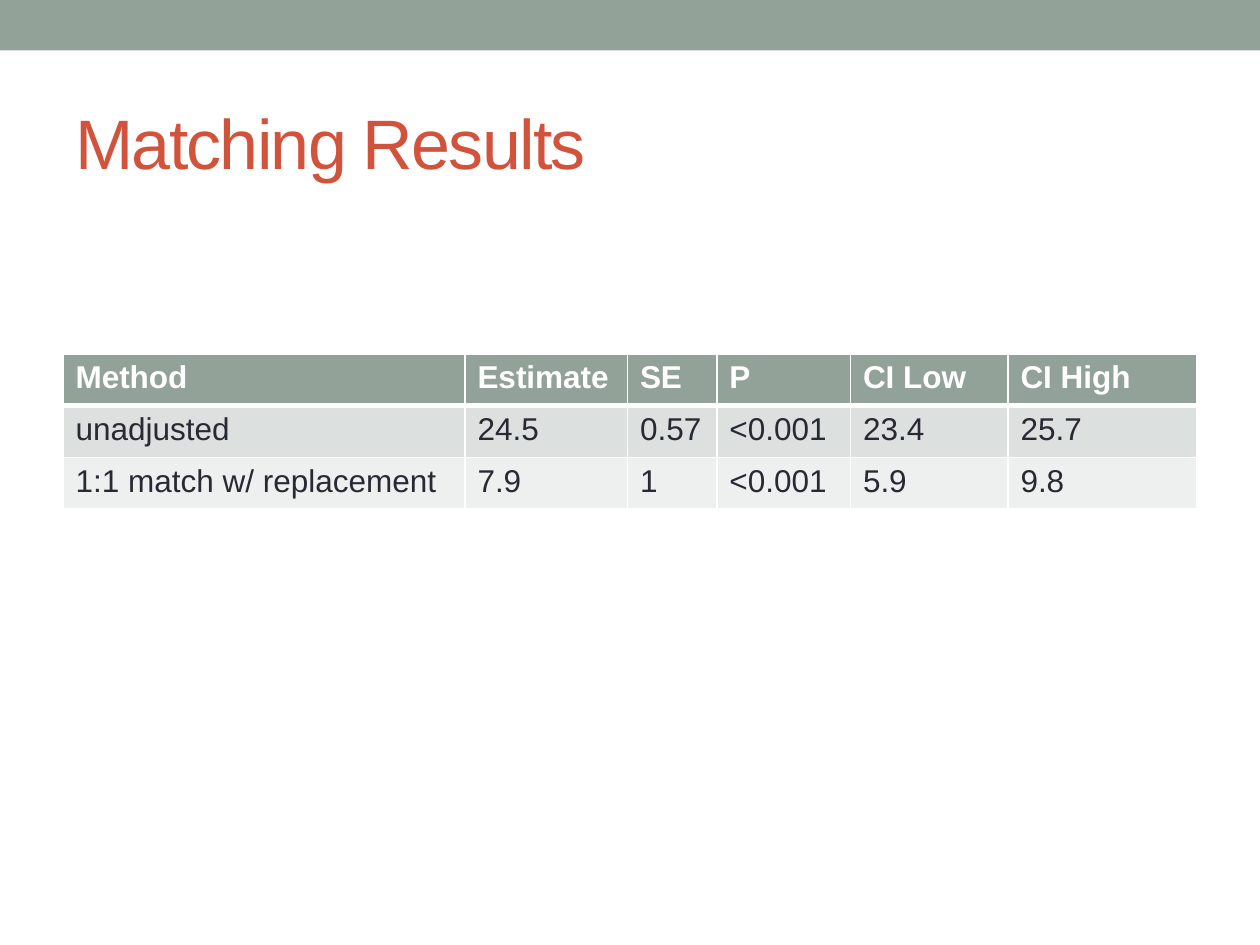
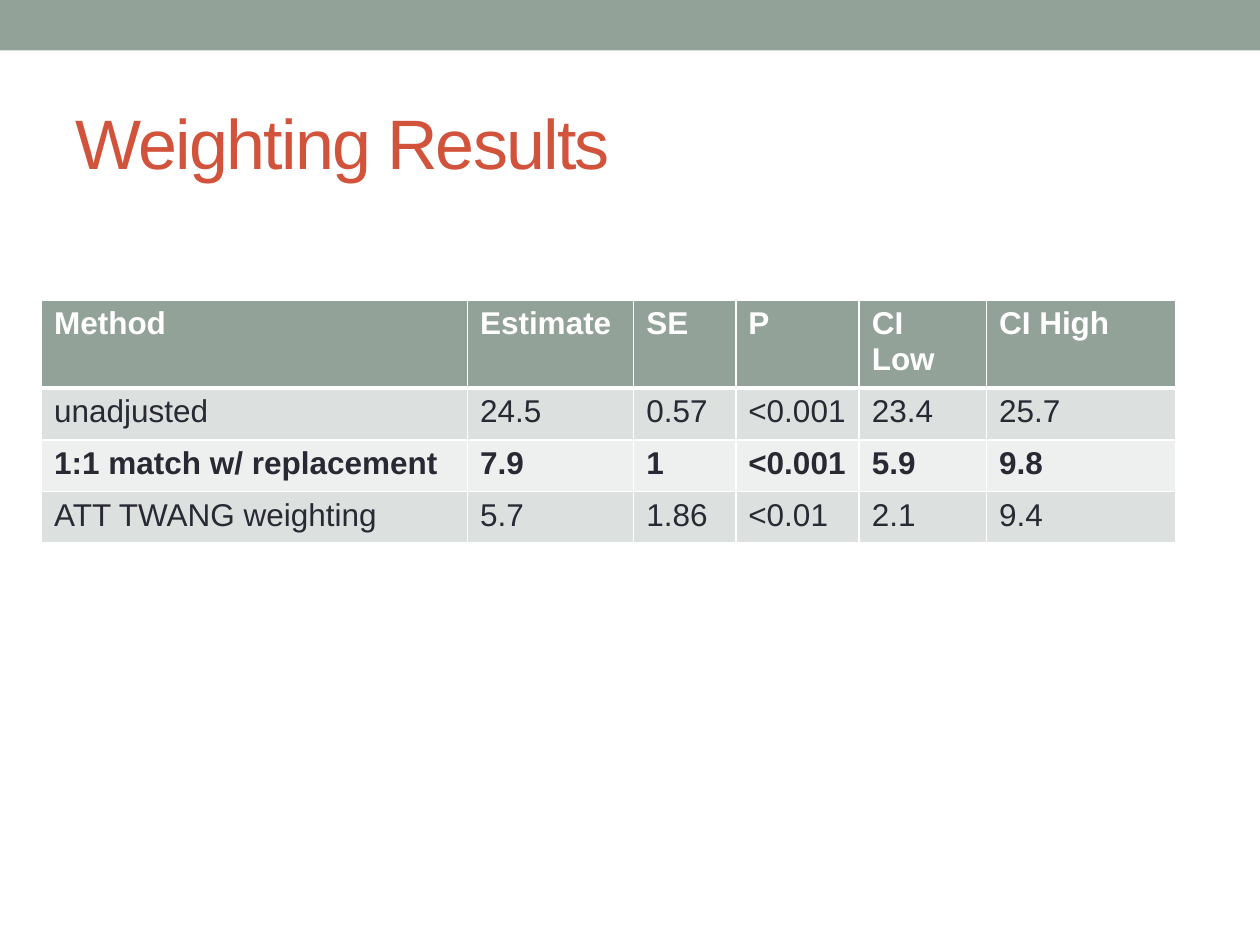
"""Build two slides that tabulate matching and weighting results."""
import lxml.etree
import pptx
import pptx.dml.color
import pptx.enum.shapes
import pptx.enum.text
import pptx.oxml.ns
import pptx.util
from dataclasses import dataclass

Inches = pptx.util.Inches
qn = pptx.oxml.ns.qn

HEADINGS = ("Method", "Estimate", "SE", "P", "CI Low", "CI High")
UNADJUSTED = ("unadjusted", "24.5", "0.57", "<0.001", "23.4", "25.7")
MATCHED = ("1:1 match w/ replacement", "7.9", "1", "<0.001", "5.9", "9.8")
WEIGHTED = ("ATT TWANG weighting", "5.7", "1.86", "<0.01", "2.1", "9.4")

RESULTS = (
    {
        "title": "Matching Results",
        "corner": (0.5, 2.81),
        "widths": (3.19, 1.29, 0.71, 1.06, 1.25, 1.5),
        "methods": (UNADJUSTED, MATCHED),
        "emphasised": None,
    },
    {
        "title": "Weighting Results",
        "corner": (0.33, 2.38),
        "widths": (3.38, 1.32, 0.81, 0.98, 1.01, 1.5),
        "methods": (UNADJUSTED, MATCHED, WEIGHTED),
        "emphasised": MATCHED,
    },
)


@dataclass(frozen=True)
class Theme:
    font: str = "Arial"
    accent: str = "93A299"
    title: str = "D2533C"
    ink: str = "292934"
    white: str = "FFFFFF"
    stripes: tuple = ("DCE0DE", "EEF0EF")
    title_size: int = 40
    table_size: int = 18
    rule: int = 1
    header_rule: int = 3
    row_height: float = 0.41


THEME = Theme()


def rgb(value):
    return pptx.dml.color.RGBColor.from_string(value)


def write(frame, text, *, size, color, bold=False, spacing=None):
    run = frame.paragraphs[0].add_run()
    run.text = text
    run.font.name = THEME.font
    run.font.size = pptx.util.Pt(size)
    run.font.bold = bold
    run.font.color.rgb = rgb(color)
    if spacing is not None:
        run.font._element.set("spc", str(spacing * 100))


def paint(shape, color):
    shape.fill.solid()
    shape.fill.fore_color.rgb = rgb(color)


def rule_cell(cell, **sides):
    properties = cell._tc.get_or_add_tcPr()
    for side, points in sides.items():
        line = lxml.etree.SubElement(properties, qn(f"a:ln{side}"), w=str(pptx.util.Pt(points)))
        fill = lxml.etree.SubElement(line, qn("a:solidFill"))
        lxml.etree.SubElement(fill, qn("a:srgbClr"), val=THEME.white)


def add_frame(slide, title):
    band = slide.shapes.add_shape(
        pptx.enum.shapes.MSO_SHAPE.RECTANGLE, 0, 0, Inches(10), Inches(0.4))
    band.shadow.inherit = False
    band.line.fill.background()
    paint(band, THEME.accent)

    heading = slide.shapes.add_textbox(Inches(0.5), Inches(0.58), Inches(9), Inches(1.08))
    heading.text_frame.word_wrap = True
    heading.text_frame.vertical_anchor = pptx.enum.text.MSO_ANCHOR.MIDDLE
    write(heading.text_frame, title, size=THEME.title_size, color=THEME.title, spacing=-1)


def add_results(slide, corner, widths, methods, emphasised):
    rows = (HEADINGS, *methods)
    left, top = corner
    grid = slide.shapes.add_table(
        len(rows), len(HEADINGS), Inches(left), Inches(top),
        Inches(sum(widths)), Inches(THEME.row_height * len(rows))).table
    for column, width in zip(grid.columns, widths):
        column.width = Inches(width)
    for index, values in enumerate(rows):
        grid.rows[index].height = Inches(THEME.row_height)
        is_header = index == 0
        above = THEME.header_rule if index == 1 else THEME.rule
        below = THEME.header_rule if is_header else THEME.rule
        background = THEME.accent if is_header else THEME.stripes[(index - 1) % 2]
        for cell, value in zip(grid.rows[index].cells, values):
            rule_cell(cell, L=THEME.rule, R=THEME.rule, T=above, B=below)
            paint(cell, background)
            write(cell.text_frame, value, size=THEME.table_size,
                  color=THEME.white if is_header else THEME.ink,
                  bold=is_header or values is emphasised)


def main():
    deck = pptx.Presentation()
    deck.slide_width, deck.slide_height = Inches(10), Inches(7.5)
    for result in RESULTS:
        slide = deck.slides.add_slide(deck.slide_layouts[6])
        add_frame(slide, result["title"])
        add_results(slide, result["corner"], result["widths"],
                    result["methods"], result["emphasised"])
    deck.save("out.pptx")


if __name__ == "__main__":
    main()
